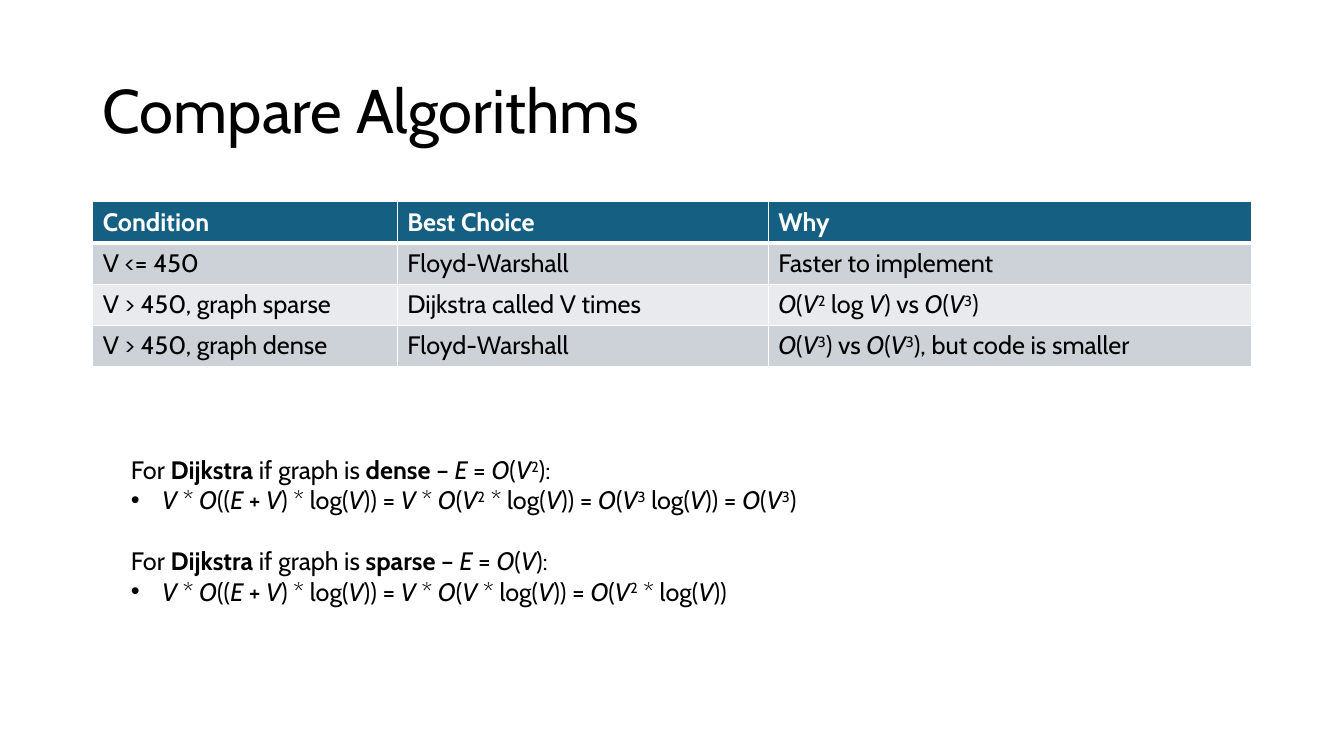
from lxml import etree
from pptx import Presentation
from pptx.dml.color import RGBColor
from pptx.enum.text import MSO_ANCHOR, MSO_AUTO_SIZE, PP_ALIGN
from pptx.oxml.ns import qn
from pptx.util import Inches, Pt

LEFT, MIDDLE, NO_FIT = PP_ALIGN.LEFT, MSO_ANCHOR.MIDDLE, MSO_AUTO_SIZE.NONE
TITLE_ONLY = 5

TITLE = "Compare Algorithms"
COMPARISON = [
    ("~Condition~", "~Best Choice~", "~Why~"),
    ("V <= 450", "Floyd-Warshall", "Faster to implement"),
    ("V > 450, graph sparse", "Dijkstra called V times", "_O_(_V_^2^ log _V_) vs _O_(_V_^3^)"),
    ("V > 450, graph dense", "Floyd-Warshall", "_O_(_V_^3^) vs _O_(_V_^3^), but code is smaller"),
]
DERIVATIONS = [
    ("For ~Dijkstra~ if graph is ~dense~ – _E_ = _O_(_V_^2^):",
     "_V_ * _O_((_E_ + _V_) * log(_V_)) = _V_ * _O_(_V_^2^ * log(_V_)) = _O_(_V_^3^ log(_V_)) = _O_(_V_^3^)"),
    ("For ~Dijkstra~ if graph is ~sparse~ – _E_ = _O_(_V_):",
     "_V_ * _O_((_E_ + _V_) * log(_V_)) = _V_ * _O_(_V_ * log(_V_)) = _O_(_V_^2^ * log(_V_))"),
]
THEME = {
    "font": "Cabin", "title_size": 44, "body_size": 18, "group_gap": 22,
    "text": "000000", "header_text": "FFFFFF", "header": "156082",
    "bands": ("E8EAED", "CCD2D8"), "rule": "FFFFFF",
    "rule_width": 1, "header_rule_width": 3,
}
WIDTH, HEIGHT = 13.33, 7.5
MARGIN, CONTENT_WIDTH = 0.92, 11.5
COLUMNS = (3.02, 3.68, 4.79)
ROW_HEIGHT = 0.41
INDENT = 0.31
MARKS = {"~": "bold", "_": "italic", "^": "raised"}


def split_marks(line):
    active, piece = set(), ""
    for letter in line:
        if letter not in MARKS:
            piece += letter
            continue
        if piece:
            yield piece, set(active)
        active ^= {MARKS[letter]}
        piece = ""
    if piece:
        yield piece, active


def write(para, line, size, color=THEME["text"]):
    for piece, styles in split_marks(line):
        span = para.add_run()
        span.text = piece
        formats = {"name": THEME["font"], "size": Pt(size),
                   "bold": "bold" in styles, "italic": "italic" in styles}
        for key, value in formats.items():
            setattr(span.font, key, value)
        span.font.color.rgb = RGBColor.from_string(color)
        if "raised" in styles:
            span.font._element.set("baseline", "30000")


def add_bullet(para):
    properties = para._p.get_or_add_pPr()
    properties.set("marL", str(Inches(INDENT)))
    properties.set("indent", str(-Inches(INDENT)))
    etree.SubElement(properties, qn("a:buFont")).set("typeface", "Arial")
    etree.SubElement(properties, qn("a:buChar")).set("char", "•")


def add_rules(cell, row):
    widths = dict.fromkeys(("lnL", "lnR", "lnT", "lnB"), THEME["rule_width"])
    if row < 2:
        widths["lnT" if row else "lnB"] = THEME["header_rule_width"]
    properties = cell._tc.get_or_add_tcPr()
    for position, (side, width) in enumerate(widths.items()):
        line = etree.Element(qn(f"a:{side}"), w=str(Pt(width)))
        fill = etree.SubElement(line, qn("a:solidFill"))
        etree.SubElement(fill, qn("a:srgbClr")).set("val", THEME["rule"])
        properties.insert(position, line)


def place_title(page):
    title = page.shapes.title
    area = {"left": MARGIN, "top": 0.4, "width": CONTENT_WIDTH, "height": 1.45}
    for key, value in area.items():
        setattr(title, key, Inches(value))
    frame = title.text_frame
    frame.vertical_anchor, frame.auto_size = MIDDLE, NO_FIT
    para = frame.paragraphs[0]
    para.alignment, para.line_spacing = LEFT, 0.9
    write(para, TITLE, THEME["title_size"])


def add_comparison(page):
    rows = len(COMPARISON)
    area = (MARGIN, 2, CONTENT_WIDTH, ROW_HEIGHT * rows)
    table = page.shapes.add_table(rows, len(COLUMNS), *map(Inches, area)).table
    for column, width in zip(table.columns, COLUMNS):
        column.width = Inches(width)
    for row, lines in enumerate(COMPARISON):
        table.rows[row].height = Inches(ROW_HEIGHT)
        fill = THEME["bands"][row % 2] if row else THEME["header"]
        color = THEME["text"] if row else THEME["header_text"]
        for column, line in enumerate(lines):
            cell = table.cell(row, column)
            cell.fill.solid()
            cell.fill.fore_color.rgb = RGBColor.from_string(fill)
            add_rules(cell, row)
            write(cell.text_frame.paragraphs[0], line, THEME["body_size"], color)


def add_derivations(page):
    box = page.shapes.add_textbox(*map(Inches, (1.2, 4.46, 10.01, 1.62)))
    frame = box.text_frame
    frame.word_wrap = True
    for group, (heading, formula) in enumerate(DERIVATIONS):
        para = frame.add_paragraph() if group else frame.paragraphs[0]
        if group:
            para.space_before = Pt(THEME["group_gap"])
        write(para, heading, THEME["body_size"])
        para = frame.add_paragraph()
        add_bullet(para)
        write(para, formula, THEME["body_size"])


def main():
    deck = Presentation()
    deck.slide_width, deck.slide_height = Inches(WIDTH), Inches(HEIGHT)
    page = deck.slides.add_slide(deck.slide_layouts[TITLE_ONLY])
    place_title(page)
    add_comparison(page)
    add_derivations(page)
    deck.save("out.pptx")


if __name__ == "__main__":
    main()
